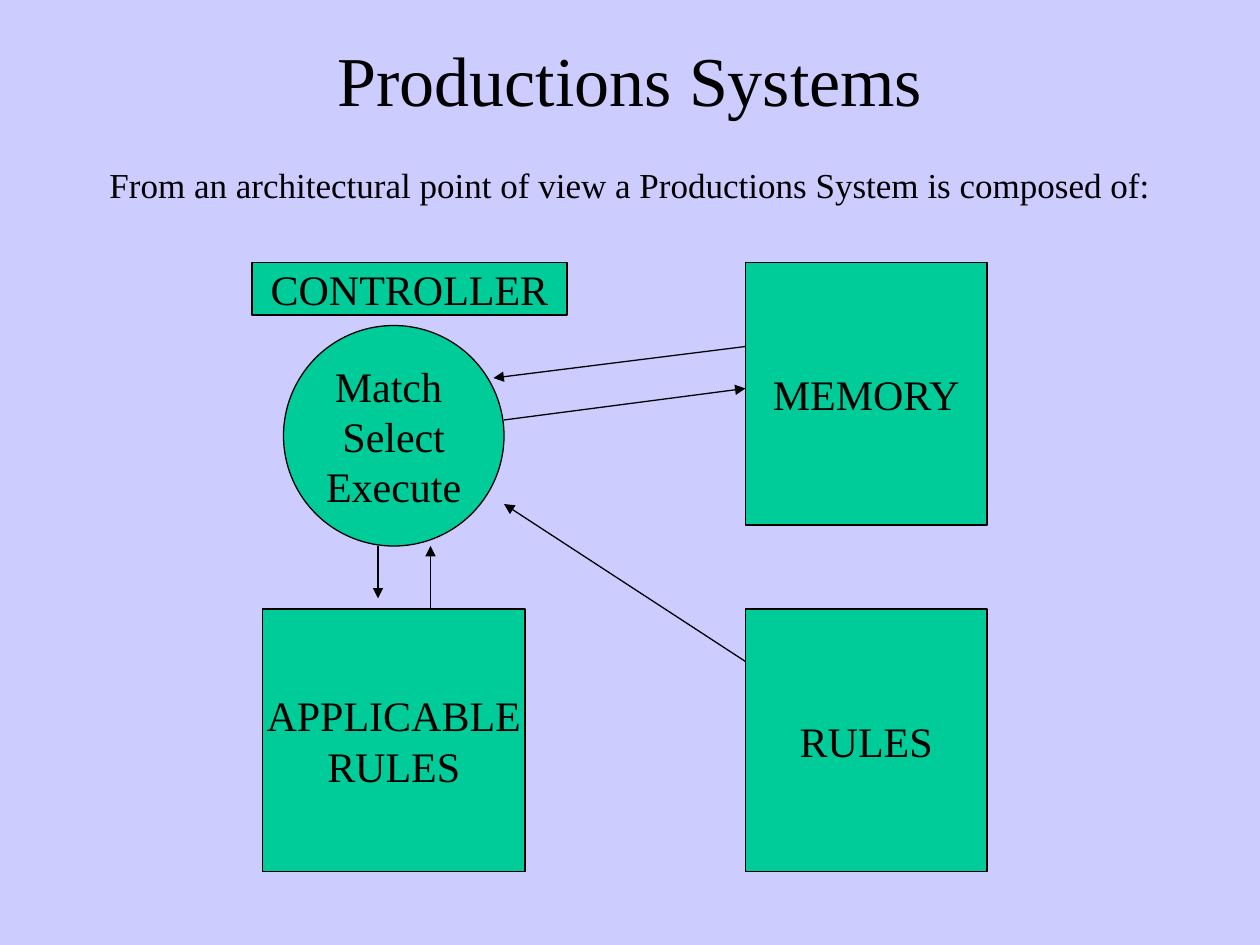
from pptx import Presentation
from pptx.dml.color import RGBColor
from pptx.enum.shapes import MSO_CONNECTOR, MSO_SHAPE
from pptx.enum.text import MSO_ANCHOR, PP_ALIGN
from pptx.oxml.ns import qn
from pptx.util import Inches, Pt
from lxml import etree

LAVENDER = RGBColor(0xCC, 0xCC, 0xFF)
GREEN = RGBColor(0x00, 0xCC, 0x99)
BLACK = RGBColor(0x00, 0x00, 0x00)

RECT, OVAL = MSO_SHAPE.RECTANGLE, MSO_SHAPE.OVAL
STRAIGHT = MSO_CONNECTOR.STRAIGHT
TOP, MIDDLE = MSO_ANCHOR.TOP, MSO_ANCHOR.MIDDLE
CENTER = PP_ALIGN.CENTER

WIDTH, HEIGHT = Inches(10), Inches(7.5)
COLUMNS, ROWS = 120, 90


class Diagram:
    font = "Times New Roman"
    line_width = Pt(0.75)

    def __init__(self, slide):
        self.s = slide
        fill = slide.background.fill
        fill.solid()
        fill.fore_color.rgb = LAVENDER

    def grid(self, *cells):
        steps = (WIDTH / COLUMNS, HEIGHT / ROWS)
        return [round(cell * steps[i % 2]) for i, cell in enumerate(cells)]

    def add_lines(self, sp, lines, size, anchor=MIDDLE, wrap=False, before=0):
        tf = sp.text_frame
        tf.word_wrap = wrap
        tf.vertical_anchor = anchor
        for i, line in enumerate(lines):
            p = tf.add_paragraph() if i else tf.paragraphs[0]
            p.alignment = CENTER
            p.space_before = Pt(before)
            r = p.add_run()
            r.text = line
            r.font.name = self.font
            r.font.size = Pt(size)
            r.font.color.rgb = BLACK

    def text(self, cells, line, size, **style):
        sp = self.s.shapes.add_textbox(*self.grid(*cells))
        self.add_lines(sp, [line], size, wrap=True, **style)

    def outline(self, line):
        line.color.rgb = BLACK
        line.width = self.line_width

    def box(self, kind, cells, *lines):
        sp = self.s.shapes.add_shape(kind, *self.grid(*cells))
        sp.shadow.inherit = False
        sp.fill.solid()
        sp.fill.fore_color.rgb = GREEN
        self.outline(sp.line)
        self.add_lines(sp, lines, 24)

    def arrow(self, start, end):
        cxn = self.s.shapes.add_connector(STRAIGHT, *self.grid(*start, *end))
        self.outline(cxn.line)
        spPr = cxn._element.spPr
        etree.SubElement(spPr.find(qn("a:ln")), qn("a:tailEnd"), type="triangle")
        etree.SubElement(spPr, qn("a:effectLst"))


def main():
    prs = Presentation()
    prs.slide_width, prs.slide_height = WIDTH, HEIGHT
    d = Diagram(prs.slides.add_slide(prs.slide_layouts[6]))

    d.text((9, 0, 102, 15), "Productions Systems", 40)
    d.text((3, 15, 114, 23),
           "From an architectural point of view a Productions System is composed of:",
           20, anchor=TOP, before=5)

    upper, lower, right = 25, 58, 71
    d.box(OVAL, (27, 31, 21, 21), "Match ", "Select", "Execute")
    d.box(RECT, (24, upper, 30, 5), "CONTROLLER")
    d.box(RECT, (right, upper, 23, 25), "MEMORY")
    d.box(RECT, (right, lower, 23, 25), "RULES")
    d.box(RECT, (25, lower, 25, 25), "APPLICABLE", "RULES")

    d.arrow((right, 63), (48, 48))
    d.arrow((right, 33), (47, 36))
    d.arrow((48, 40), (right, 37))
    d.arrow((36, 52), (36, 57))
    d.arrow((41, lower), (41, 52))

    prs.save("out.pptx")


if __name__ == "__main__":
    main()
